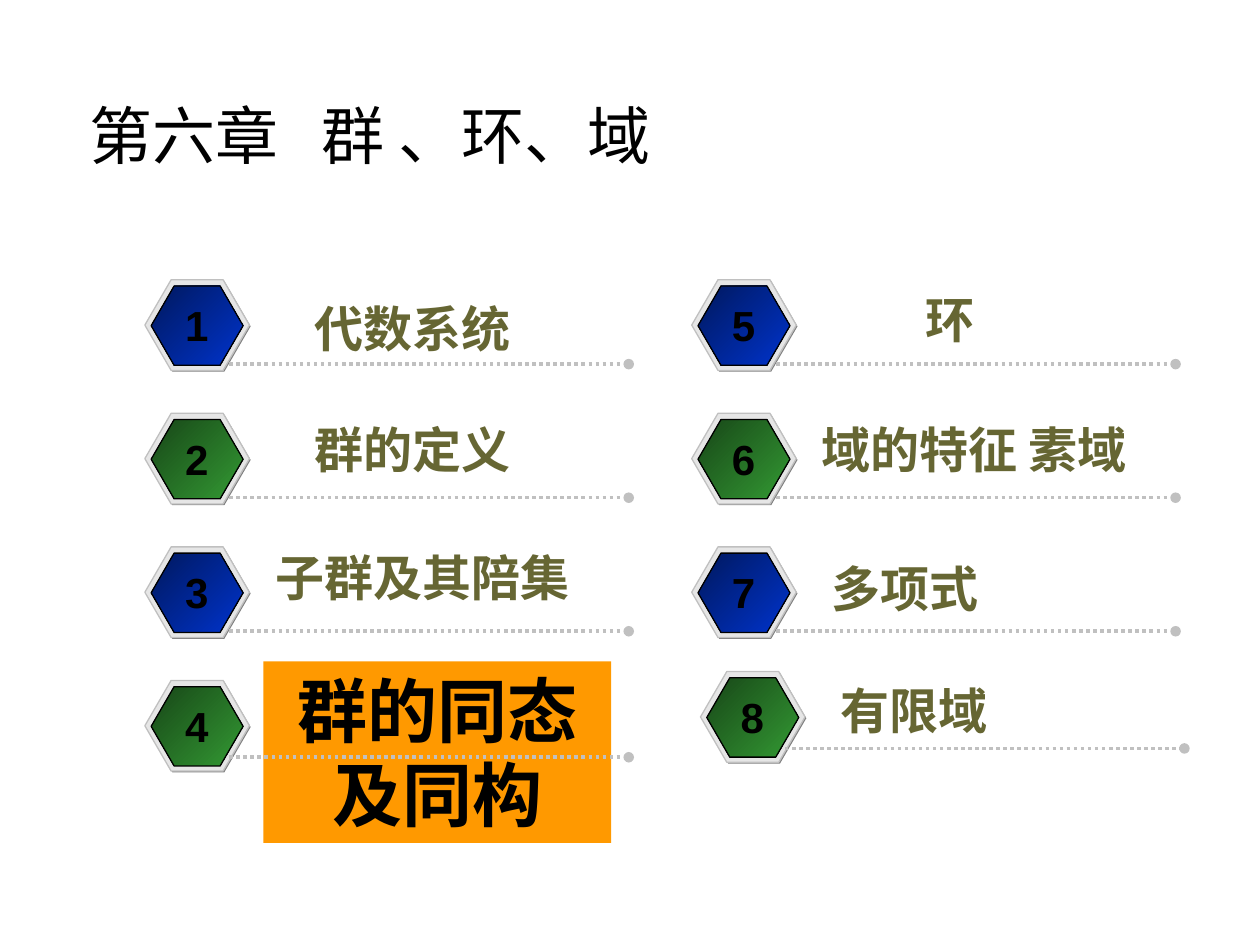
from lxml import etree
from pptx import Presentation
from pptx.dml.color import RGBColor
from pptx.enum.dml import MSO_LINE
from pptx.enum.shapes import MSO_CONNECTOR, MSO_SHAPE
from pptx.enum.text import MSO_ANCHOR, PP_ALIGN
from pptx.oxml.ns import qn
from pptx.util import Inches, Pt

HEX, LINE = MSO_SHAPE.HEXAGON, MSO_CONNECTOR.STRAIGHT
DOTS = MSO_LINE.ROUND_DOT
LEFT, MID = PP_ALIGN.LEFT, PP_ALIGN.CENTER
CENTER = MSO_ANCHOR.MIDDLE

BLACK = RGBColor(0x00, 0x00, 0x00)
OLIVE = RGBColor(0x66, 0x66, 0x33)
ORANGE = RGBColor(0xFF, 0x99, 0x00)
SHADE = RGBColor(0x80, 0x80, 0x80)
RIM = RGBColor(0xE6, 0xE6, 0xE6)
SILVER = RGBColor(0xC0, 0xC0, 0xC0)
BLUES = RGBColor(0x00, 0x18, 0x5E), RGBColor(0x00, 0x33, 0xCC)
GREENS = RGBColor(0x18, 0x47, 0x18), RGBColor(0x33, 0x99, 0x33)

SANS, CJK = "Arial", "Noto Sans CJK SC"
TITLE = {"name": CJK, "size": Pt(36), "bold": False}
DIGIT = {"name": SANS, "size": Pt(24), "bold": True}
LABEL = {"name": CJK, "size": Pt(28), "bold": True}
FOCUS = {"name": CJK, "size": Pt(40), "bold": True}

COLS = 1.15, 5.49
TOP, PITCH, ROWS = 2.22, 1.06, 4
# Text, label box as offset from its badge plus size, alignment
TOPICS = [
    ("代数系统", (1.25, 0.10, 1.83, 0.57), LEFT),
    ("群的定义", (1.25, 0.00, 2.68, 0.57), LEFT),
    ("子群及其陪集", (0.94, -0.04, 2.75, 0.57), LEFT),
    ("群的同态及同构", (0.94, -0.15, 2.76, 1.44), MID),
    ("环", (1.01, 0.03, 2.08, 0.57), MID),
    ("域的特征 素域", (0.93, 0.00, 2.91, 0.57), LEFT),
    ("多项式", (1.01, 0.04, 2.91, 0.57), LEFT),
    ("有限域", (1.01, 0.02, 2.99, 0.57), LEFT),
]
CURRENT, LAST = 4, 8


def add_text(slide, box, text, style, color, align=LEFT, wrap=True, tab=None):
    shape = slide.shapes.add_textbox(*map(Inches, box))
    frame = shape.text_frame
    frame.word_wrap = wrap
    para = frame.paragraphs[0]
    para.alignment = align
    if tab:
        stops = etree.SubElement(para._p.get_or_add_pPr(), qn("a:tabLst"))
        etree.SubElement(stops, qn("a:tab"), pos=str(Inches(tab)), algn="l")
    run = para.add_run()
    run.text = text
    for key, value in style.items():
        setattr(run.font, key, value)
    run.font.color.rgb = color
    east = etree.SubElement(run._r.get_or_add_rPr(), qn("a:ea"))
    east.set("typeface", style["name"])
    return shape


def add_title(slide, box):
    shape = add_text(slide, box, "第六章\t群 、环、域", TITLE, BLACK, tab=1.84)
    shape.text_frame.vertical_anchor = CENTER


def add_hex(group, box, edge=None):
    shape = group.shapes.add_shape(HEX, *map(Inches, box))
    shape.shadow.inherit = False
    shape.adjustments[0] = 0.29
    if edge is None:
        shape.line.fill.background()
    else:
        shape.line.color.rgb = edge
        shape.line.width = Pt(0.75)
    return shape.fill


def add_badge(slide, x, y, num, tones):
    """Stack shade, rim and gradient face, with the number on top."""
    group = slide.shapes.add_group_shape()
    for shift, tone, edge in ((0.01, SHADE, None), (0, RIM, SILVER)):
        fill = add_hex(group, (x + shift, y + shift, 0.83, 0.72), edge)
        fill.solid()
        fill.fore_color.rgb = tone
    face = add_hex(group, (x + 0.05, y + 0.05, 0.73, 0.63), BLACK)
    face.gradient()
    face.gradient_angle = 315
    for stop, tone in zip(face.gradient_stops, tones):
        stop.color.rgb = tone
    add_text(slide, (x + 0.22, y + 0.11, 0.38, 0.5), str(num), DIGIT, BLACK,
             MID, wrap=False)


def add_rule(slide, x, y, width):
    """Dotted line that ends in a round dot."""
    ends = map(Inches, (x, y, x + width, y))
    rule = slide.shapes.add_connector(LINE, *ends)
    rule.line.color.rgb = SILVER
    rule.line.width = Pt(2)
    rule.line.dash_style = DOTS
    etree.SubElement(rule.line._get_or_add_ln(), qn("a:tailEnd"), type="oval")
    etree.SubElement(rule._element.spPr, qn("a:effectLst"))


def add_topic(slide, x, y, num, drop):
    text, (dx, dy, width, height), align = TOPICS[num - 1]
    now = num == CURRENT
    label = add_text(slide, (x + dx, y + dy, width, height), text,
                     FOCUS if now else LABEL, BLACK if now else OLIVE, align)
    if now:
        label.fill.solid()
        label.fill.fore_color.rgb = ORANGE
    add_badge(slide, x, y, num, BLUES if num % 2 else GREENS)
    add_rule(slide, x + 0.67, y + drop, 3.17)


def main():
    deck = Presentation()
    deck.slide_width, deck.slide_height = Inches(10), Inches(7.5)
    slide = deck.slides.add_slide(deck.slide_layouts[6])
    add_title(slide, (0.61, 0.58, 8.77, 0.97))
    for i in range(len(TOPICS)):
        col, row = divmod(i, ROWS)
        nudge = 0.07 if i + 1 == LAST else 0
        drop = 0.61 if row == ROWS - 1 else 0.67
        add_topic(slide, COLS[col] + nudge, TOP + row * PITCH - nudge,
                  i + 1, drop)
    deck.save("out.pptx")


if __name__ == "__main__":
    main()
